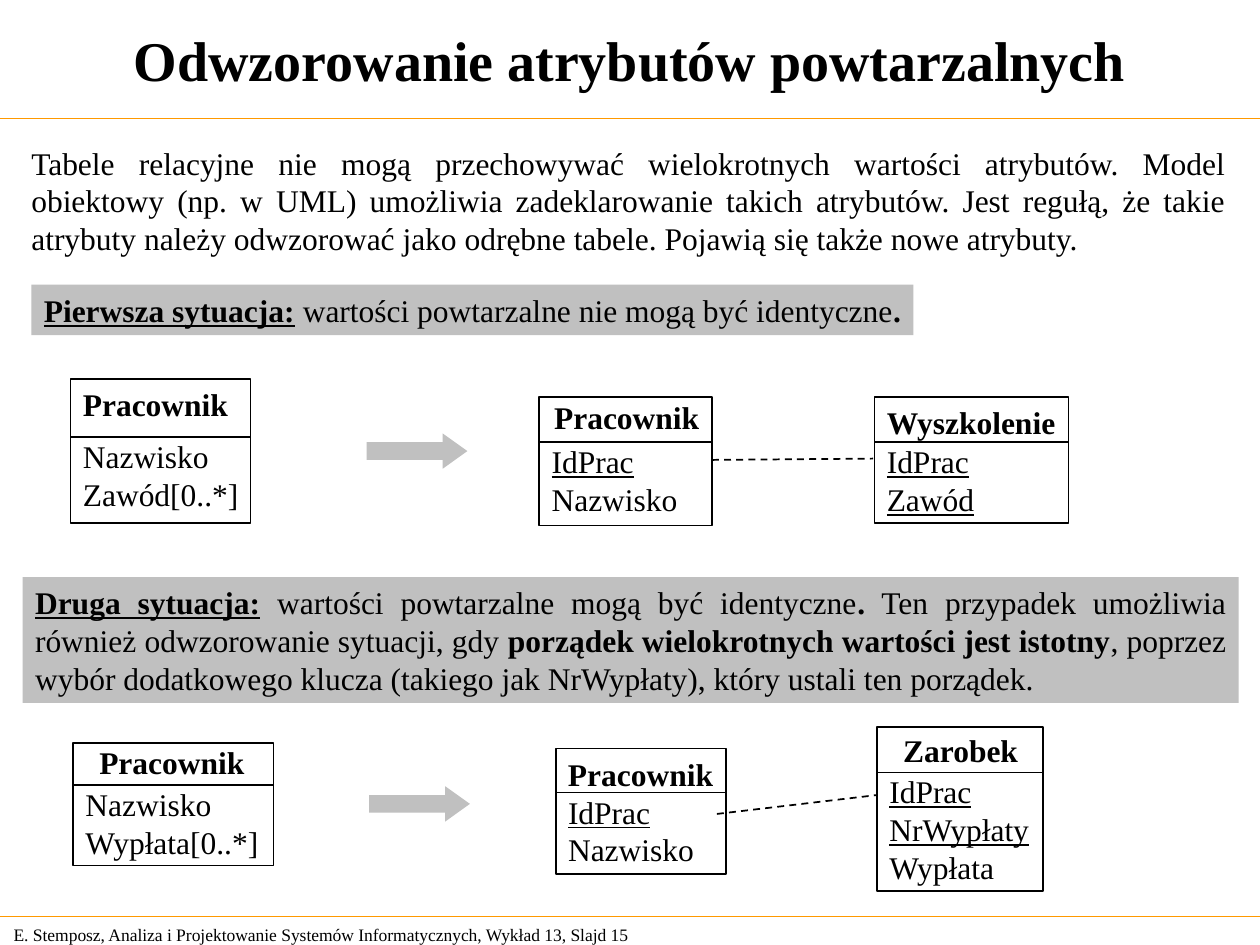
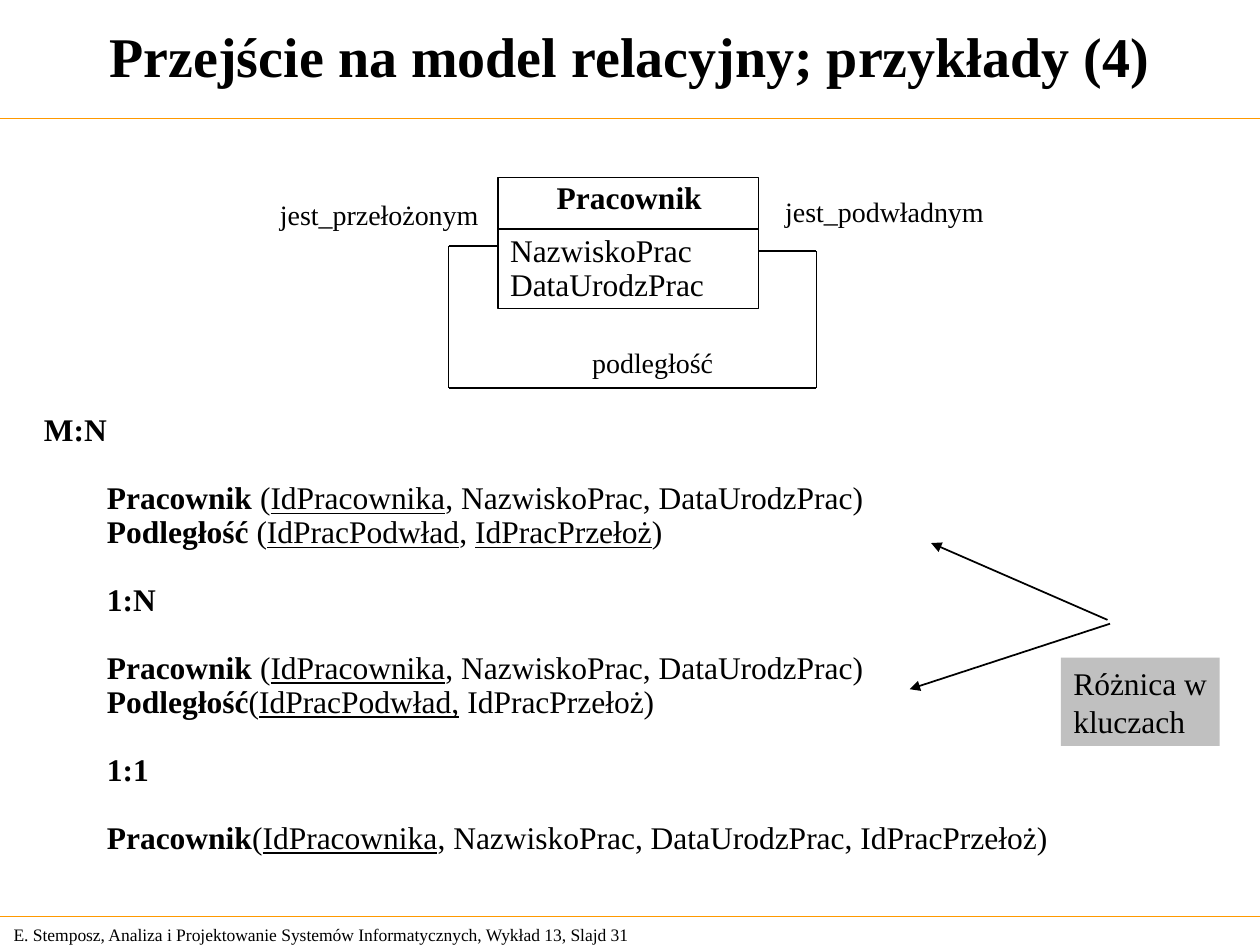
"""Builds two lecture slides on mapping object models to relational tables."""
from dataclasses import dataclass
from itertools import pairwise

from lxml.etree import SubElement
from pptx import Presentation
from pptx.dml.color import RGBColor
from pptx.enum.dml import MSO_LINE
from pptx.enum.shapes import MSO_CONNECTOR, MSO_SHAPE
from pptx.enum.text import MSO_ANCHOR, PP_ALIGN
from pptx.oxml.ns import qn
from pptx.util import Inches, Pt


@dataclass(frozen=True)
class Theme:
    font: str = "Times New Roman"
    ink: RGBColor = RGBColor(0, 0, 0)
    paper: RGBColor = RGBColor(255, 255, 255)
    grey: RGBColor = RGBColor(0xC0, 0xC0, 0xC0)
    orange: RGBColor = RGBColor(0xFF, 0x99, 0x00)
    title: int = 32
    body: int = 18
    role: int = 16
    footer: int = 10
    rule: float = 0.75
    stroke: float = 1
    tight: float = 0.9
    blank_line: float = 19.4


THEME = Theme()
COLUMNS, ROWS = 100, 75
WIDTH, HEIGHT = Inches(10), Inches(7.5)
FOOTER = "E. Stemposz, Analiza i Projektowanie Systemów Informatycznych, Wykład 13, Slajd {}"
RULE_ROWS = (9.42, 72.76)
NAME_WIDTH = 17

REPEATED = {
    "title": "Odwzorowanie atrybutów powtarzalnych",
    "title_area": (0, 0.1, 100, 9.2),
    "number": 15,
    "intro": ((1.5, 10.9, 96.8, 10), [[(
        "Tabele relacyjne nie mogą przechowywać wielokrotnych wartości atrybutów. "
        "Model obiektowy (np. w UML) umożliwia zadeklarowanie takich atrybutów. "
        "Jest regułą, że takie atrybuty należy odwzorować jako odrębne tabele. "
        "Pojawią się także nowe atrybuty.", "")]]),
    "cases": [
        ((2.5, 22.6, 70, 4), [[
            ("Pierwsza sytuacja:", "bu"), (" ", "b"),
            ("wartości powtarzalne nie mogą być identyczne", ""), (".", "b")]]),
        ((1.8, 45.8, 96.5, 10), [[
            ("Druga sytuacja:", "bu"), (" ", "b"),
            ("wartości powtarzalne mogą być identyczne", ""), (".", "b"),
            (" Ten przypadek umożliwia również odwzorowanie sytuacji, gdy ", ""),
            ("porządek wielokrotnych wartości jest istotny", "b"),
            (", poprzez wybór dodatkowego klucza (takiego jak NrWypłaty), "
             "który ustali ten porządek.", "")]]),
    ],
    "classes": [
        ("Pracownik", (5.6, 30.1), (5.6, 30.1, 14.3, 11.4), 34.7,
         [("Nazwisko", ""), ("Zawód[0..*]", "")]),
        ("Pracownik", (43, 31.1), (42.8, 31.5, 13.7, 10.2), 35.1,
         [("IdPrac", "u"), ("Nazwisko", "")]),
        ("Wyszkolenie", (69.4, 31.5), (69.4, 31.5, 15.4, 10), 35.1,
         [("IdPrac", "u"), ("Zawód", "u")]),
        ("Pracownik", (6.9, 58.5), (5.8, 59, 15.9, 9.7), 62.3,
         [("Nazwisko", ""), ("Wypłata[0..*]", "")]),
        ("Pracownik", (44.1, 59.4), (44.1, 59.4, 13.5, 10), 62.9,
         [("IdPrac", "u"), ("Nazwisko", "")]),
        ("Zarobek", (70.7, 57.5), (69.6, 57.7, 13.2, 13), 61.3,
         [("IdPrac", "u"), ("NrWypłaty", "u"), ("Wypłata", "")]),
    ],
    "becomes": [(29.1, 34.4, 8, 2.8), (29.3, 62.4, 8, 2.8)],
    "relations": [((56.5, 36.5), (69.3, 36.4)), ((56.9, 64.6), (69.6, 63.1))],
}

EXAMPLES = {
    "title": "Przejście na model relacyjny; przykłady (4)",
    "title_area": (0, 0.1, 100, 8.5),
    "number": 31,
    "loop": [(40.2, 19.5), (35.6, 19.5), (35.6, 30.8), (64.8, 30.8), (64.8, 19.9), (55.5, 19.9)],
    "roles": [
        ("podległość", (42.8, 26.1, 18, 5.7)),
        ("jest_podwładnym", (61.2, 15.7, 18, 2.5)),
        ("jest_przełożonym", (21.1, 15.9, 18, 2.5)),
    ],
    "class": ("Pracownik", (43.2, 14), (39.5, 14.1, 20.7, 10.4), 18.2,
              [("NazwiskoPrac", ""), ("DataUrodzPrac", "")]),
    "schemas_area": (2.5, 32.1, 82.8, 36.7),
    "schemas": [
        ("M:N", [
            [("Pracownik ", "b"), ("(", ""), ("IdPracownika", "u"),
             (", NazwiskoPrac, DataUrodzPrac)", "")],
            [("Podległość ", "b"), ("(", ""), ("IdPracPodwład", "u"), (", ", ""),
             ("IdPracPrzełoż", "u"), (")", "")]]),
        ("1:N", [
            [("Pracownik ", "b"), ("(", ""), ("IdPracownika", "u"),
             (", NazwiskoPrac, DataUrodzPrac)", "")],
            [("Podległość", "b"), ("(", ""), ("IdPracPodwład,", "u"), (" IdPracPrzełoż)", "")]]),
        ("1:1", [
            [("Pracownik", "b"), ("(", ""), ("IdPracownika", "u"),
             (", NazwiskoPrac, DataUrodzPrac, IdPracPrzełoż)", "")]]),
    ],
    "remark": ((84.2, 52.2, 12.6, 7), [[("Różnica w", "")], [("kluczach", "")]]),
    "pointers": [((88.1, 49.5), (72.2, 54.7)), ((87.9, 49.2), (73.9, 43.1))],
}


def x(columns):
    return round(WIDTH * columns / COLUMNS)


def y(rows):
    return round(HEIGHT * rows / ROWS)


def place(area):
    left, top, width, height = area
    return x(left), y(top), x(width), y(height)


def write(shape, lines, size=THEME.body, wrap=True, anchor=MSO_ANCHOR.TOP, inset=0.5, **layout):
    frame = shape.text_frame
    formats = {"word_wrap": wrap, "vertical_anchor": anchor, "margin_left": x(1),
               "margin_right": x(1), "margin_top": y(inset), "margin_bottom": y(0.5)}
    for key, value in formats.items():
        setattr(frame, key, value)
    for index, pieces in enumerate(lines):
        paragraph = frame.add_paragraph() if index else frame.paragraphs[0]
        for key, value in ({"alignment": PP_ALIGN.LEFT} | layout).items():
            setattr(paragraph, key, value)
        for words, style in pieces:
            run = paragraph.add_run()
            run.text = words
            look = {"name": THEME.font, "size": Pt(size), "bold": "b" in style,
                    "underline": "u" in style}
            for key, value in look.items():
                setattr(run.font, key, value)
            run.font.color.rgb = THEME.ink
    return frame


def add_text(slide, area, lines, **options):
    return write(slide.shapes.add_textbox(*place(area)), lines, **options)


def add_block(slide, area, fill, outline=None, preset=MSO_SHAPE.RECTANGLE):
    block = slide.shapes.add_shape(preset, *place(area))
    block.shadow.inherit = False
    block.fill.solid()
    block.fill.fore_color.rgb = fill
    if outline is None:
        block.line.fill.background()
    else:
        block.line.color.rgb = outline
        block.line.width = Pt(THEME.stroke)
    return block


def add_line(slide, start, end, color=THEME.ink, width=THEME.stroke, dashed=False, arrow=False):
    line = slide.shapes.add_connector(
        MSO_CONNECTOR.STRAIGHT, x(start[0]), y(start[1]), x(end[0]), y(end[1]))
    line.line.color.rgb = color
    line.line.width = Pt(width)
    if dashed:
        line.line.dash_style = MSO_LINE.DASH
    if arrow:
        SubElement(line.line._get_or_add_ln(), qn("a:tailEnd"), type="triangle")
    SubElement(line._element.spPr, qn("a:effectLst"))


def add_class(slide, entry, gap=0, **layout):
    name, (name_left, name_top), area, divider, attributes = entry
    left, top, width, _ = area
    block = add_block(slide, area, THEME.paper, THEME.ink)
    write(block, [[attribute] for attribute in attributes], wrap=False,
          inset=divider - top + gap, **layout)
    add_line(slide, (left, divider), (left + width, divider))
    add_text(slide, (name_left, name_top, NAME_WIDTH, 4), [[(name, "b")]], **layout)


def add_base(deck, content):
    slide = deck.slides.add_slide(deck.slide_layouts[6])
    add_text(slide, (0.1, 72.8, 60, 2.7), [[(FOOTER.format(content["number"]), "")]],
             size=THEME.footer, anchor=MSO_ANCHOR.MIDDLE)
    for row in RULE_ROWS:
        add_line(slide, (0, row), (COLUMNS, row), THEME.orange, THEME.rule)
    add_text(slide, content["title_area"], [[(content["title"], "b")]], size=THEME.title,
             anchor=MSO_ANCHOR.MIDDLE, alignment=PP_ALIGN.CENTER)
    return slide


def build_repeated(deck):
    slide = add_base(deck, REPEATED)
    area, intro = REPEATED["intro"]
    add_text(slide, area, intro, alignment=PP_ALIGN.JUSTIFY)
    for area, case in REPEATED["cases"]:
        write(add_block(slide, area, THEME.grey), case, alignment=PP_ALIGN.JUSTIFY)
    for entry in REPEATED["classes"]:
        add_class(slide, entry)
    for area in REPEATED["becomes"]:
        arrow = add_block(slide, area, THEME.grey, preset=MSO_SHAPE.RIGHT_ARROW)
        arrow.adjustments[1] = 0.7
    for start, end in REPEATED["relations"]:
        add_line(slide, start, end, dashed=True)


def build_examples(deck):
    slide = add_base(deck, EXAMPLES)
    for start, end in pairwise(EXAMPLES["loop"]):
        add_line(slide, start, end)
    for role, area in EXAMPLES["roles"]:
        add_text(slide, area, [[(role, "")]], size=THEME.role, anchor=MSO_ANCHOR.MIDDLE,
                 alignment=PP_ALIGN.CENTER, line_spacing=THEME.tight)
    add_class(slide, EXAMPLES["class"], gap=0.5, line_spacing=THEME.tight)

    lines, spaced = [], set()
    for ratio, relations in EXAMPLES["schemas"]:
        spaced |= {len(lines), len(lines) + 1}
        lines += [[(ratio, "b")], *relations]
    schemas = add_text(slide, EXAMPLES["schemas_area"], lines, anchor=MSO_ANCHOR.MIDDLE,
                       line_spacing=THEME.tight)
    for index, paragraph in enumerate(schemas.paragraphs):
        if index:
            paragraph._p.get_or_add_pPr().set("marL", str(x(5)))
            paragraph.space_before = Pt(THEME.blank_line if index in spaced else 0)

    area, remark = EXAMPLES["remark"]
    write(add_block(slide, area, THEME.grey), remark, wrap=False)
    for start, end in EXAMPLES["pointers"]:
        add_line(slide, start, end, arrow=True)


def main():
    deck = Presentation()
    deck.slide_width, deck.slide_height = WIDTH, HEIGHT
    build_repeated(deck)
    build_examples(deck)
    deck.save("out.pptx")


if __name__ == "__main__":
    main()
